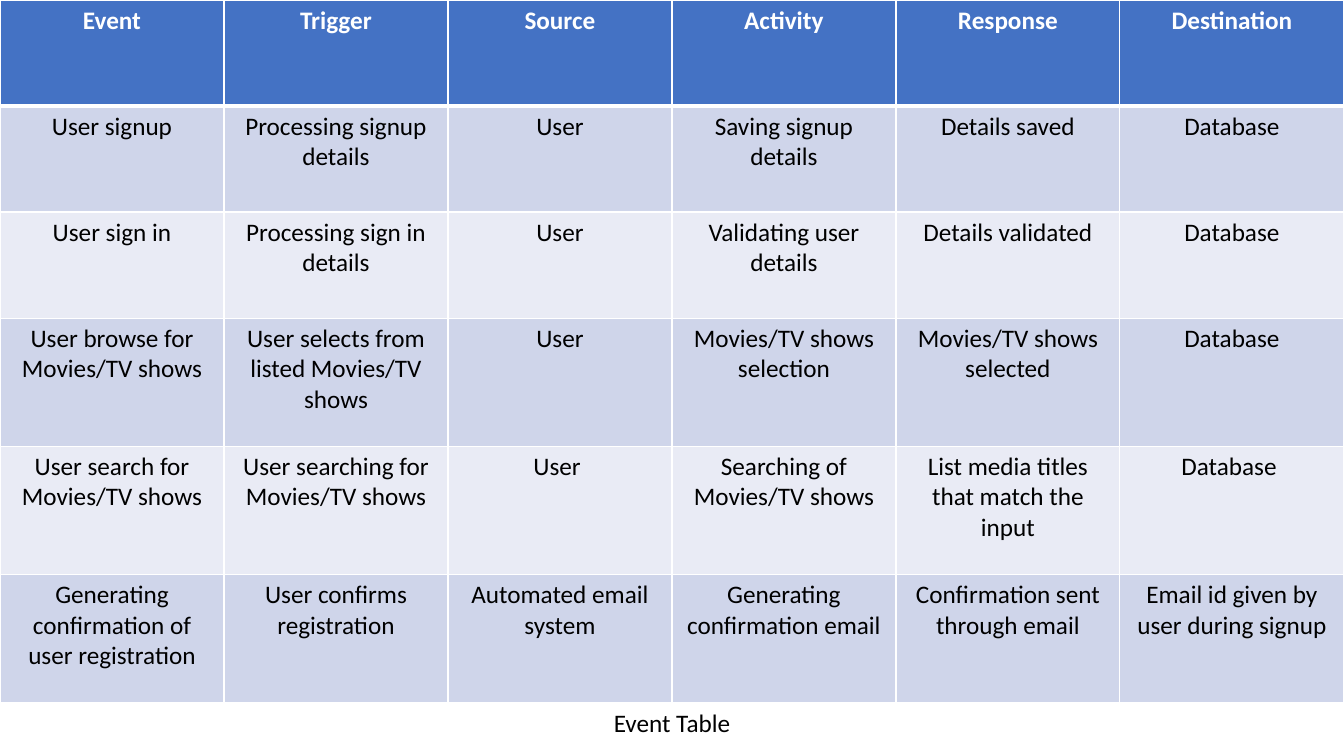
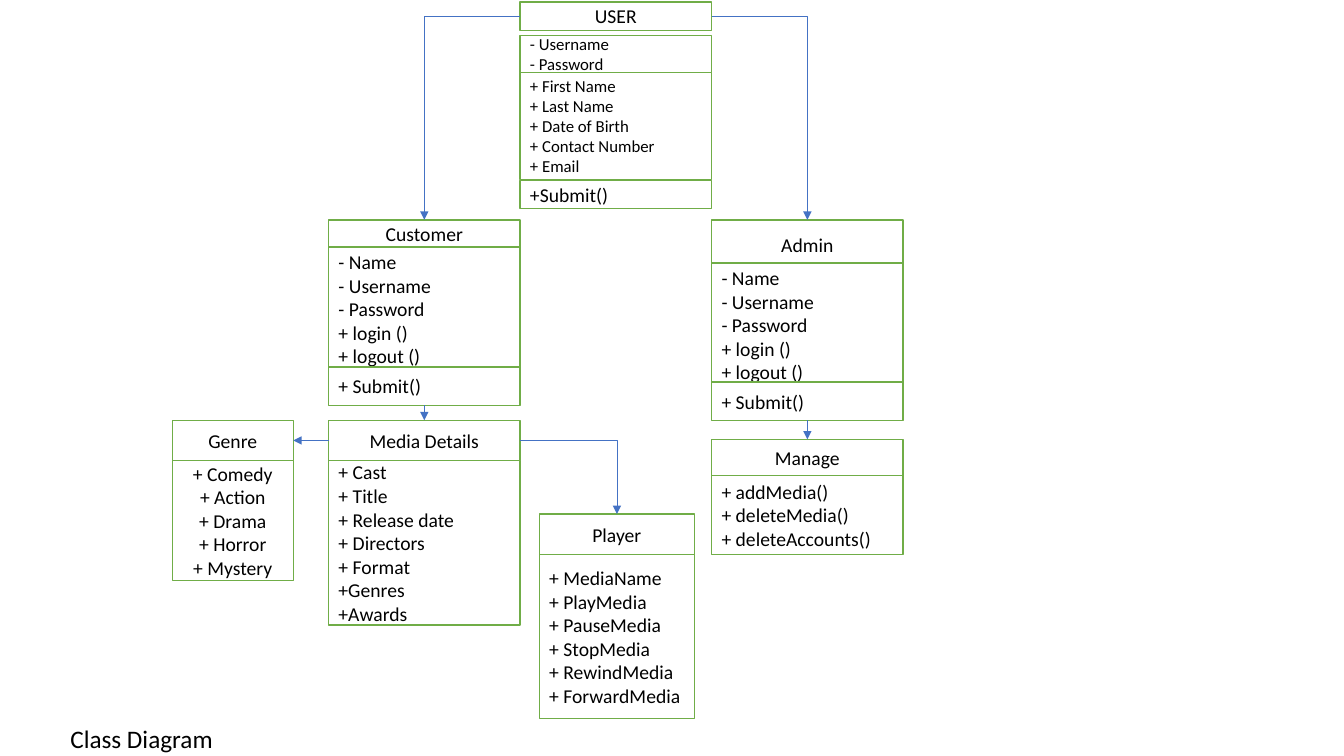
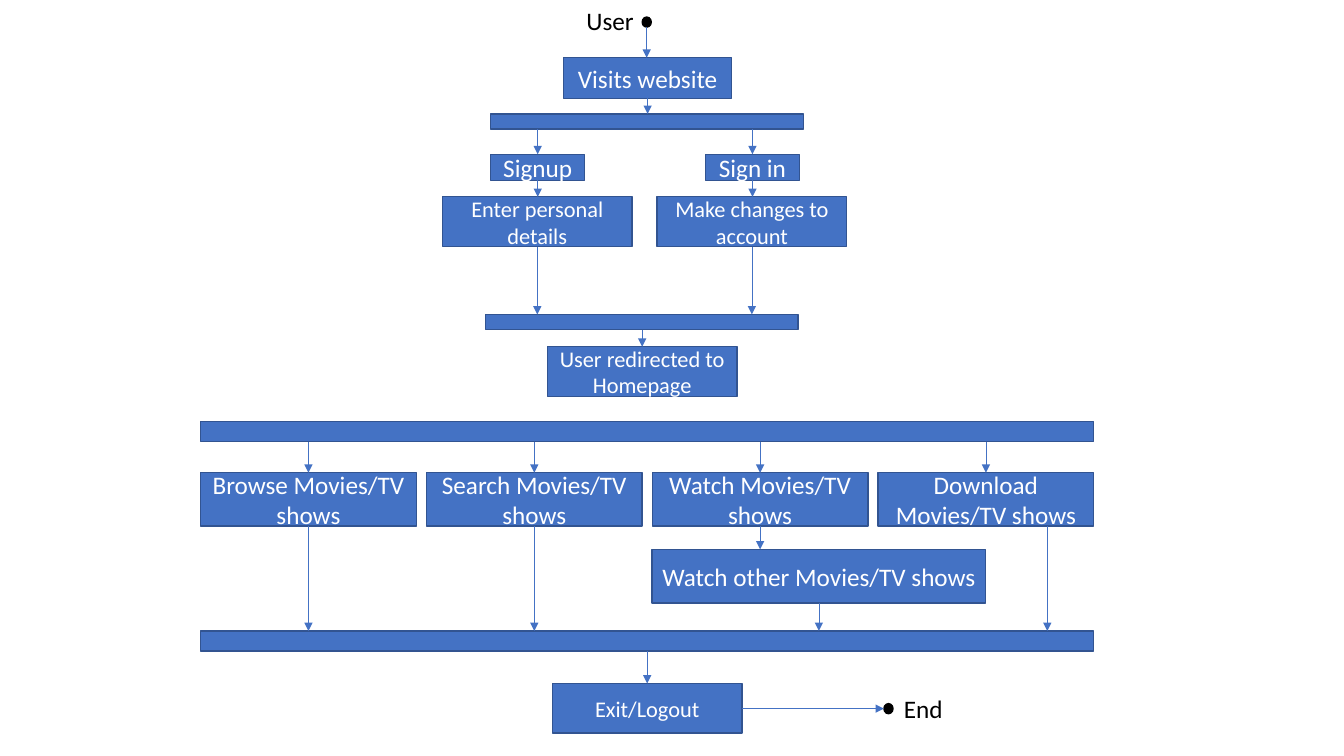
import pptx
import pptx.util
from pptx.dml.color import RGBColor
from pptx.enum.shapes import MSO_CONNECTOR, MSO_SHAPE
from pptx.enum.text import MSO_ANCHOR, PP_ALIGN
from pptx.oxml import parse_xml
from pptx.oxml.ns import nsdecls, qn

Pt = pptx.util.Pt

FONT = "Calibri"
WHITE = RGBColor(0xFF, 0xFF, 0xFF)
BLACK = RGBColor(0x00, 0x00, 0x00)
BLUE = RGBColor(0x44, 0x72, 0xC4)
DARK_BLUE = RGBColor(0x32, 0x54, 0x91)
GREEN = RGBColor(0x70, 0xAD, 0x47)
BANDS = (RGBColor(0xCF, 0xD5, 0xEA), RGBColor(0xE9, 0xEB, 0xF5))

SLIDE_WIDTH, SLIDE_HEIGHT = 960, 540
CAPTION_HEIGHT = 28.8
TOP, LEFT, BOTTOM, RIGHT = range(4)  # connection sites of a rectangle

# Event table
EVENTS = [
    ("Event", "Trigger", "Source", "Activity", "Response", "Destination"),
    ("User signup", "Processing signup details", "User",
     "Saving signup details", "Details saved", "Database"),
    ("User sign in", "Processing sign in details", "User",
     "Validating user details", "Details validated", "Database"),
    ("User browse for Movies/TV shows", "User selects from listed Movies/TV shows", "User",
     "Movies/TV shows selection", "Movies/TV shows selected", "Database"),
    ("User search for Movies/TV shows", "User searching for Movies/TV shows", "User ",
     "Searching of Movies/TV shows", "List media titles that match the input", "Database "),
    ("Generating confirmation of user registration", "User confirms registration",
     "Automated email system", "Generating confirmation email",
     "Confirmation sent through email", "Email id given by user during signup"),
]
EVENT_ROW_HEIGHTS = [75.75] * 3 + [91.5] * 3

# Class diagram: left, width, then compartments of (top, height, size, lines)
CLASS_WIDTH = 136.8
CUSTOMER_LEFT = 234.7
USER_LEFT = CUSTOMER_LEFT + CLASS_WIDTH
ADMIN_LEFT = USER_LEFT + CLASS_WIDTH
ACCOUNT_MEMBERS = ["- Name", "- Username", "- Password", "+ login ()", "+ logout ()"]
CLASSES = {
    "USER": (USER_LEFT, CLASS_WIDTH, [
        (1.4, 20.2, 14, ["USER"]),
        (25.2, 26.6, 12, ["- Username", "- Password"]),
        (51.8, 76.3, 12, ["+ First Name", "+ Last Name", "+ Date of Birth",
                          "+ Contact Number", "+ Email"]),
        (128.9, 20.2, 14, ["+Submit()"])]),
    "Customer": (CUSTOMER_LEFT, CLASS_WIDTH, [
        (157, 20.2, 14, ["Customer"]),
        (176.4, 88.6, 14, ACCOUNT_MEMBERS),
        (262.1, 27.4, 14, ["+ Submit()"])]),
    "Admin": (ADMIN_LEFT, CLASS_WIDTH, [
        (157, 35.3, 14, ["Admin"]),
        (187.9, 88.6, 14, ACCOUNT_MEMBERS),
        (272.9, 27.4, 14, ["+ Submit()"])]),
    "Media Details": (CUSTOMER_LEFT, CLASS_WIDTH, [
        (300.2, 28.8, 14, ["Media Details"]),
        (329, 117.4, 14, ["+ Cast", "+ Title", "+ Release date", "+ Directors",
                          "+ Format", "+Genres", "+Awards"])]),
    "Genre": (123.1, 86.4, [
        (300.2, 28.8, 14, ["Genre"]),
        (329, 85.7, 14, ["+ Comedy", "+ Action", "+ Drama", "+ Horror", "+ Mystery"])]),
    "Manage": (ADMIN_LEFT, CLASS_WIDTH, [
        (313.9, 26.6, 14, ["Manage"]),
        (339.8, 56.2, 14, ["+ addMedia()", "+ deleteMedia()", "+ deleteAccounts()"])]),
    "Player": (385.2, 110.9, [
        (367.2, 28.8, 14, ["Player"]),
        (396, 117.4, 14, ["+ MediaName", "+ PlayMedia", "+ PauseMedia", "+ StopMedia",
                          "+ RewindMedia", "+ ForwardMedia"])]),
}
CENTERED_CLASSES = {"Genre"}
# class, site, class, site; a bottom site belongs to the last compartment
CLASS_ARROWS = [
    ("USER", RIGHT, "Admin", TOP),
    ("USER", LEFT, "Customer", TOP),
    ("Admin", BOTTOM, "Manage", TOP),
    ("Customer", BOTTOM, "Media Details", TOP),
    ("Media Details", LEFT, "Genre", RIGHT),
    ("Media Details", RIGHT, "Player", TOP),
]

# Activity diagram: left, top, width, height, text size, text
ACTION_LEFT, ACTION_WIDTH, ACTION_GAP = 143.3, 154.1, 7.2
ACTIONS = ["Browse", "Search", "Watch", "Download"]
ACTIONS_WIDTH = len(ACTIONS) * (ACTION_WIDTH + ACTION_GAP) - ACTION_GAP
STEPS = {
    "visit": (402.5, 41.2, 120.2, 29, 18, "Visits website"),
    "account fork": (350.6, 81.4, 223.2, 10.8, 18, ""),
    "signup": (350.6, 110.2, 67, 18.7, 18, "Signup"),
    "sign in": (504, 110.2, 67, 18.7, 18, "Sign in"),
    "enter details": (316.1, 140.6, 135.4, 35.5, 16, "Enter personal details"),
    "change account": (469.4, 140.6, 135.4, 35.5, 16, "Make changes to account"),
    "account join": (347, 224.6, 223.2, 10.8, 18, ""),
    "homepage": (391, 247.7, 135.4, 35.5, 16, "User redirected to Homepage"),
    "action fork": (ACTION_LEFT, 301, ACTIONS_WIDTH, 14.4, 18, ""),
    "watch other": (465.8, 392.4, 238.3, 38.4, 18, "Watch other Movies/TV shows"),
    "action join": (ACTION_LEFT, 450.7, ACTIONS_WIDTH, 14.4, 18, ""),
    "exit": (394.6, 488.2, 135.4, 35.5, 16, "Exit/Logout"),
}
for column, action in enumerate(ACTIONS):
    action_left = ACTION_LEFT + column * (ACTION_WIDTH + ACTION_GAP)
    STEPS[action] = (action_left, 337.7, ACTION_WIDTH, 38.2, 18, f"{action} Movies/TV shows")
DOT_SIZE = (6.5, 7.2)
DOTS = {"start": (458.7, 12.2), "end": (631.4, 502.6)}
STEP_FLOWS = [
    ("start", "visit", "account fork"),
    ("account fork", "signup", "enter details", "account join"),
    ("account fork", "sign in", "change account", "account join"),
    ("account join", "homepage"),
    ("action fork", "Browse", "action join"),
    ("action fork", "Search", "action join"),
    ("action fork", "Watch", "watch other", "action join"),
    ("action fork", "Download"),
    ("action join", "exit"),
]
DOWNLOAD_EXIT_X = 748.1


def write_text(text_frame, lines, size, color, alignment, bold=False):
    text_frame.text = "\n".join(lines)
    for paragraph in text_frame.paragraphs:
        paragraph.alignment = alignment
        paragraph.font.name = FONT
        paragraph.font.size = Pt(size)
        paragraph.font.bold = bold
        paragraph.font.color.rgb = color


def add_box(slide, bounds, fill, line, preset=MSO_SHAPE.RECTANGLE):
    shape = slide.shapes.add_shape(preset, *map(Pt, bounds))
    shape.shadow.inherit = False
    shape.fill.solid()
    shape.fill.fore_color.rgb = fill
    shape.line.color.rgb = line
    shape.line.width = Pt(1)
    shape.text_frame.vertical_anchor = MSO_ANCHOR.MIDDLE
    return shape


def add_label(slide, left, top, width, text, alignment=PP_ALIGN.LEFT, wrap=False):
    label = slide.shapes.add_textbox(Pt(left), Pt(top), Pt(width), Pt(CAPTION_HEIGHT))
    label.text_frame.word_wrap = wrap
    write_text(label.text_frame, [text], 18, BLACK, alignment)


def add_arrow(slide, start=(0, 0), end=(0, 0), kind=MSO_CONNECTOR.STRAIGHT):
    connector = slide.shapes.add_connector(kind, *start, *end)
    connector.line.color.rgb = BLUE
    connector.line.width = Pt(0.5)
    properties = connector.element.spPr
    properties.find(qn("a:ln")).append(
        parse_xml(f'<a:tailEnd {nsdecls("a")} type="triangle"/>'))
    properties.append(parse_xml(f'<a:effectLst {nsdecls("a")}/>'))
    return connector


def add_cell_borders(cell, bottom_width):
    properties = cell._tc.get_or_add_tcPr()
    for side, width in (("L", 1), ("R", 1), ("T", 1), ("B", bottom_width)):
        properties.append(parse_xml(
            f'<a:ln{side} {nsdecls("a")} w="{Pt(width)}"><a:solidFill>'
            f'<a:srgbClr val="{WHITE}"/></a:solidFill></a:ln{side}>'))


def build_event_table(slide):
    height = sum(EVENT_ROW_HEIGHTS)
    column_count = len(EVENTS[0])
    table = slide.shapes.add_table(
        len(EVENTS), column_count, 0, 0, Pt(SLIDE_WIDTH), Pt(height)).table
    for column in table.columns:
        column.width = Pt(SLIDE_WIDTH / column_count)
    for row_index, texts in enumerate(EVENTS):
        table.rows[row_index].height = Pt(EVENT_ROW_HEIGHTS[row_index])
        header = row_index == 0
        for column_index, text in enumerate(texts):
            cell = table.cell(row_index, column_index)
            add_cell_borders(cell, 3 if header else 1)
            cell.fill.solid()
            cell.fill.fore_color.rgb = BLUE if header else BANDS[(row_index - 1) % 2]
            write_text(cell.text_frame, [text], 18, WHITE if header else BLACK,
                       PP_ALIGN.CENTER, bold=header)
    add_label(slide, 0, height, SLIDE_WIDTH, "Event Table", PP_ALIGN.CENTER, wrap=True)


def build_class_diagram(slide):
    boxes = {}
    for name, (left, width, compartments) in CLASSES.items():
        boxes[name] = []
        for index, (top, height, size, lines) in enumerate(compartments):
            box = add_box(slide, (left, top, width, height), WHITE, GREEN)
            centered = index == 0 or name in CENTERED_CLASSES
            write_text(box.text_frame, lines, size, BLACK,
                       PP_ALIGN.CENTER if centered else PP_ALIGN.LEFT)
            boxes[name].append(box)
    for source, source_site, target, target_site in CLASS_ARROWS:
        bent = source_site in (LEFT, RIGHT) and target_site == TOP
        connector = add_arrow(
            slide, kind=MSO_CONNECTOR.ELBOW if bent else MSO_CONNECTOR.STRAIGHT)
        connector.begin_connect(boxes[source][-1 if source_site == BOTTOM else 0], source_site)
        connector.end_connect(boxes[target][0], target_site)
        if bent:  # one corner instead of two
            connector.element.spPr.find(qn("a:prstGeom")).set("prst", "bentConnector2")
    add_label(slide, 43.2, 513.4, 117.4, "Class Diagram")


def add_down_arrow(slide, upper, lower, x=None):
    """Runs down the middle of the narrower shape unless x is given."""
    if x is None:
        narrower = min(upper, lower, key=lambda shape: shape.width)
        x = narrower.left + narrower.width // 2
    add_arrow(slide, (x, upper.top + upper.height), (x, lower.top))


def build_activity_diagram(slide):
    shapes = {}
    for name, (*bounds, size, text) in STEPS.items():
        shapes[name] = add_box(slide, bounds, BLUE, DARK_BLUE)
        if text:
            write_text(shapes[name].text_frame, [text], size, WHITE, PP_ALIGN.CENTER)
    for name, position in DOTS.items():
        shapes[name] = add_box(slide, position + DOT_SIZE, BLACK, BLACK, MSO_SHAPE.OVAL)
    for flow in STEP_FLOWS:
        for upper, lower in zip(flow, flow[1:]):
            add_down_arrow(slide, shapes[upper], shapes[lower])
    add_down_arrow(slide, shapes["Download"], shapes["action join"], Pt(DOWNLOAD_EXIT_X))
    leave, end = shapes["exit"], shapes["end"]
    middle = end.top + end.height // 2
    add_arrow(slide, (leave.left + leave.width, middle), (end.left, middle))
    add_label(slide, 411.8, 0, 49, "User")
    add_label(slide, 638.6, 491.8, 42.5, "End")


def main():
    presentation = pptx.Presentation()
    presentation.slide_width = Pt(SLIDE_WIDTH)
    presentation.slide_height = Pt(SLIDE_HEIGHT)
    blank = presentation.slide_layouts[6]
    for build in (build_event_table, build_class_diagram, build_activity_diagram):
        build(presentation.slides.add_slide(blank))
    presentation.save("out.pptx")


if __name__ == "__main__":
    main()
